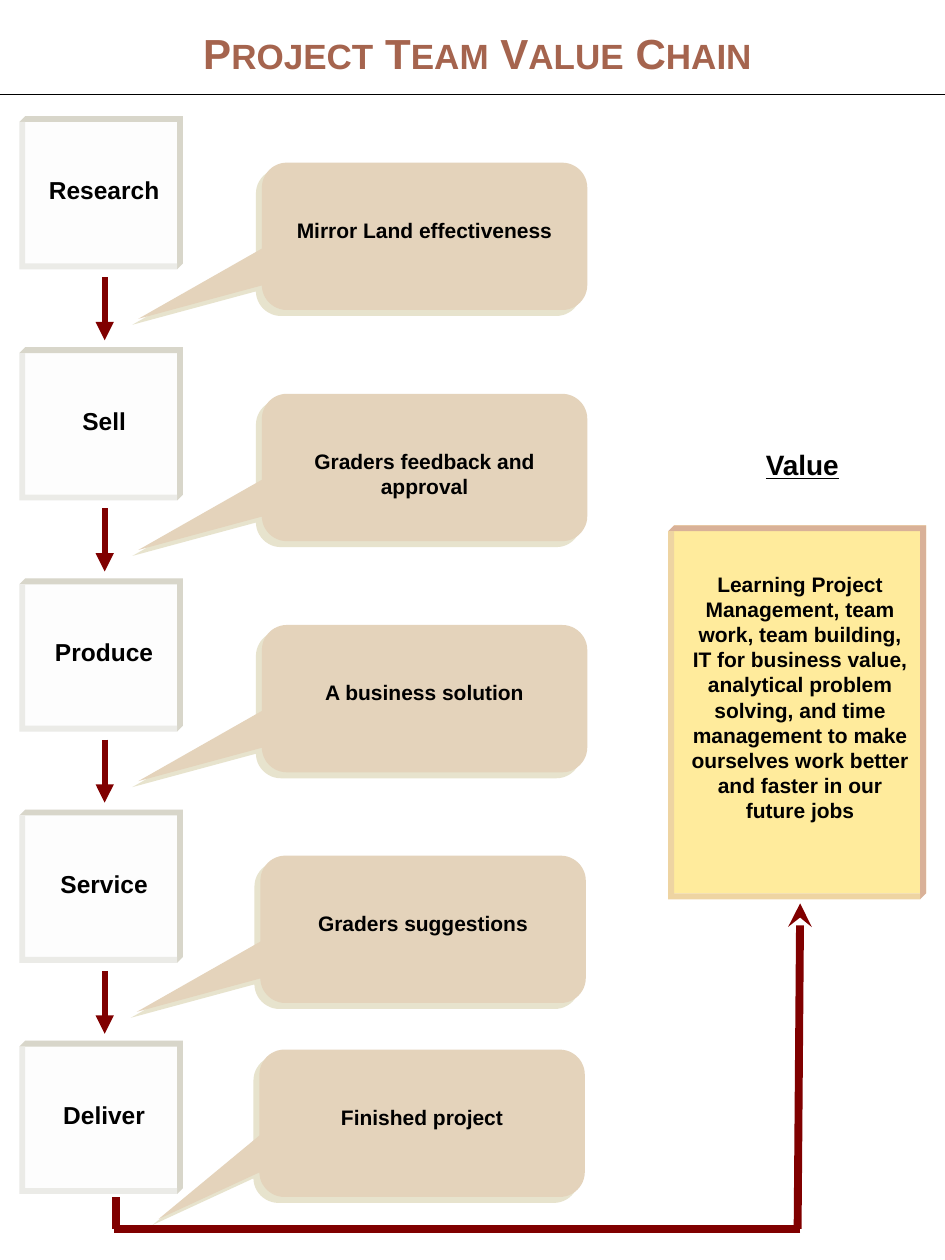
from lxml import etree
from pptx import Presentation
from pptx.dml.color import RGBColor
from pptx.enum import shapes as kinds, text as txt
from pptx.oxml.ns import qn
from pptx.util import Cm, Pt

BLACK = RGBColor(0x00, 0x00, 0x00)
MAROON = RGBColor(0x80, 0x00, 0x00)
RUST = RGBColor(0xA5, 0x64, 0x4E)
WHITE = RGBColor(0xFD, 0xFD, 0xFD)
GREY = RGBColor(0xD8, 0xD6, 0xCA)
PALE = RGBColor(0xEB, 0xEB, 0xE7)
SAND = RGBColor(0xE4, 0xD3, 0xBB)
CREAM = RGBColor(0xE7, 0xE3, 0xCD)
YELLOW = RGBColor(0xFF, 0xEB, 0x9C)
ROSE = RGBColor(0xD9, 0xB1, 0x98)
GOLD = RGBColor(0xEE, 0xD4, 0xA2)
RIM = 0.12

deck = Presentation()
deck.slide_width, deck.slide_height = Cm(19.05), Cm(25.4)
slide = deck.slides.add_slide(deck.slide_layouts[5])
items = slide.shapes


def style(shape, fill):
    """Flat fill without outline or shadow."""
    shape.shadow.inherit = False
    shape.fill.solid()
    shape.fill.fore_color.rgb = fill
    shape.line.fill.background()


def write(frame, runs, color=BLACK):
    """Fill a frame with one centred bold paragraph of (words, size) runs."""
    para = frame.paragraphs[0]
    para.alignment = txt.PP_ALIGN.CENTER
    for words, size in runs:
        run = para.add_run()
        run.text = words
        run.font.name = "Arial"
        run.font.size = Pt(size)
        run.font.bold = True
        run.font.color.rgb = color


# Title and heading
title = items.title
title.left, title.top, title.width, title.height = Cm(1.27), Cm(0.43), Cm(16.71), Cm(1.27)
title.text_frame.vertical_anchor = txt.MSO_ANCHOR.TOP
title.text_frame.auto_size = txt.MSO_AUTO_SIZE.NONE
write(title.text_frame, [("P", 24), ("ROJECT", 20), (" T", 24), ("EAM", 20),
                         (" V", 24), ("ALUE", 20), (" C", 24), ("HAIN", 20)], RUST)
head = items.add_textbox(Cm(14.17), Cm(8.89), Cm(4.01), Cm(0.94)).text_frame
head.word_wrap = True
write(head, [("Value", 16)])
head.paragraphs[0].runs[0].font.underline = True

# Boxes: left, top, width, height, words, size, face, dark rim, light rim
steps = ["Research", "Sell", "Produce", "Service", "Deliver"]
boxes = [(0.51, 2.34 + 4.66 * i, 3.18, 2.97, step, 14, WHITE, GREY, PALE)
         for i, step in enumerate(steps)]
boxes.append((13.59, 10.59, 5.08, 7.42,
              "Learning Project Management, team work, team building, IT for "
              "business value, analytical problem solving, and time management to "
              "make ourselves work better and faster in our future jobs",
              12, YELLOW, ROSE, GOLD))
for x, y, w, h, words, size, face, dark, light in boxes:
    box = items.add_shape(kinds.MSO_SHAPE.RECTANGLE, Cm(x), Cm(y), Cm(w), Cm(h))
    style(box, face)
    frame = box.text_frame
    frame.vertical_anchor = txt.MSO_ANCHOR.MIDDLE
    frame.word_wrap = face == YELLOW
    if face == YELLOW:
        frame.margin_bottom = Cm(0.62)
    write(frame, [(words, size)])
    r, b = x + w, y + h
    top = [(x, y), (r, y), (r, b), (r - RIM, b + RIM), (r - RIM, y + RIM), (x - RIM, y + RIM)]
    low = [(x - RIM, y + RIM), (x, y + RIM), (x, b), (r - RIM, b),
           (r - RIM, b + RIM), (x - RIM, b + RIM)]
    for pts, tone in ((top, dark), (low, light)):
        pts = [(Cm(px), Cm(py)) for px, py in pts]
        pen = items.build_freeform(*pts[0])
        pen.add_line_segments(pts[1:])
        style(pen.convert_to_shape(), tone)

# Callouts, each over a shifted paler edge
notes = [(5.28, 3.28, "Mirror Land effectiveness"),
         (5.28, 7.94, "Graders feedback and approval"),
         (5.28, 12.6, "A business solution"),
         (5.25, 17.25, "Graders suggestions"),
         (5.23, 21.16, "Finished project")]
for x, y, words in notes:
    tip = (-0.81, 0.65) if words == notes[-1][2] else (-0.88, 0.56)
    for shift, tone in ((RIM, CREAM), (0, SAND)):
        note = items.add_shape(kinds.MSO_SHAPE.ROUNDED_RECTANGULAR_CALLOUT,
                               Cm(x + 0.12 - shift), Cm(y - 0.12 + shift), Cm(6.56), Cm(2.97))
        note.left, note.top = Cm(x - shift), Cm(y - 0.12 + 0.12 + shift)
        note.adjustments[0], note.adjustments[1] = tip
        note.adjustments[2] = 0.17
        style(note, tone)
    frame = note.text_frame
    frame.word_wrap = True
    frame.vertical_anchor = txt.MSO_ANCHOR.TOP
    frame.margin_top = Cm(0.95)
    write(frame, [(words, 12)])

# Lines and arrows: from, to, width, colour, arrowhead
lines = [(0, 1.9, 19.05, 1.9, 0.75, BLACK, None),
         (16.08, 24.77, 16.13, 18.21, 4.5, MAROON, "stealth"),
         (16.13, 24.77, 2.29, 24.77, 4.5, MAROON, None),
         (2.34, 24.77, 2.34, 24.13, 4.5, MAROON, None)]
lines += [(2.11, 5.59 + 4.66 * i, 2.11, 6.86 + 4.66 * i, 3.5, MAROON, "triangle")
          for i in range(4)]
for x1, y1, x2, y2, width, color, tail in lines:
    line = items.add_connector(kinds.MSO_CONNECTOR.STRAIGHT, Cm(x1), Cm(y1), Cm(x2), Cm(y2))
    line.line.width = Pt(width)
    line.line.color.rgb = color
    if tail:
        etree.SubElement(line.line._get_or_add_ln(), qn("a:tailEnd"), type=tail)
    etree.SubElement(line._element.spPr, qn("a:effectLst"))

deck.save("out.pptx")
